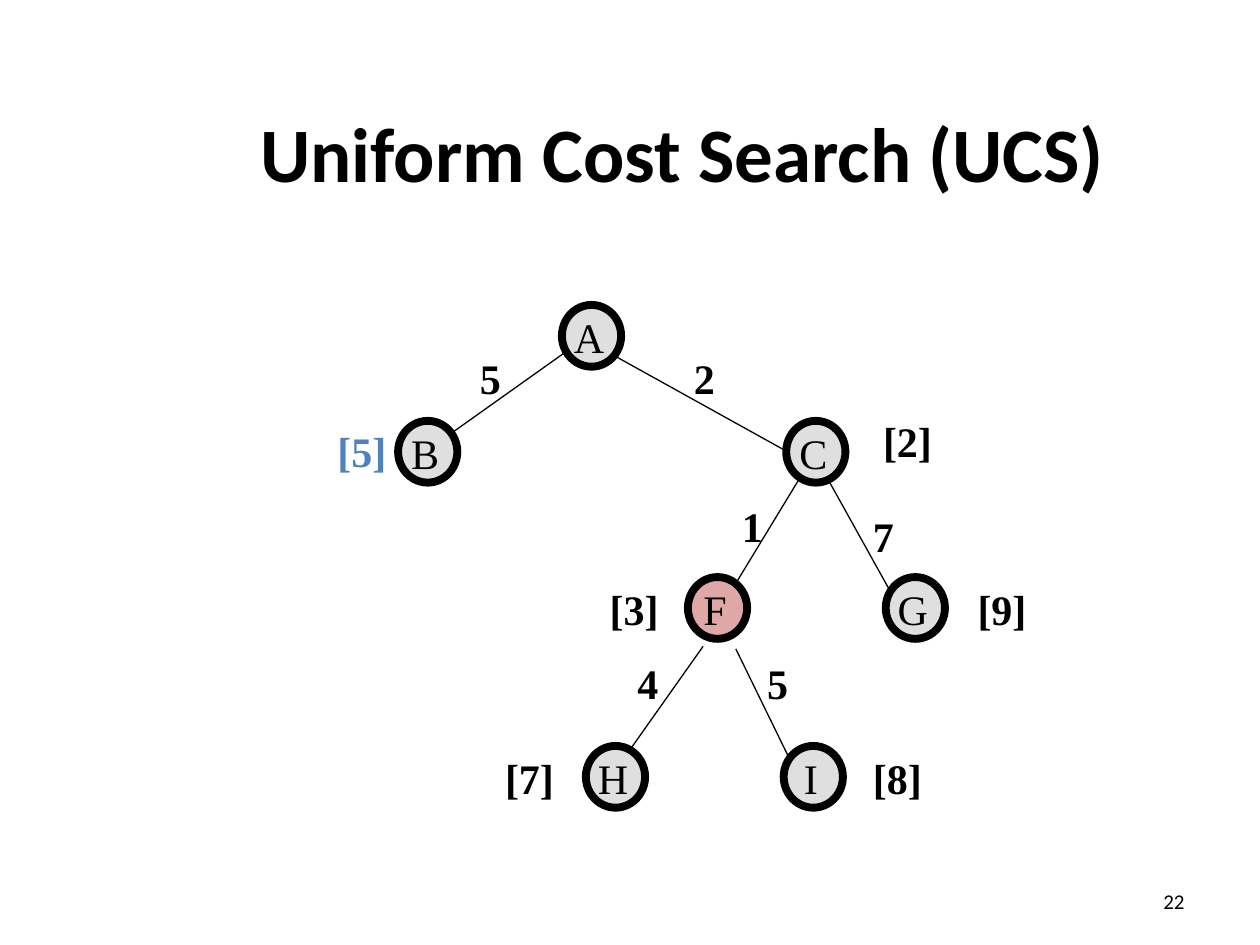
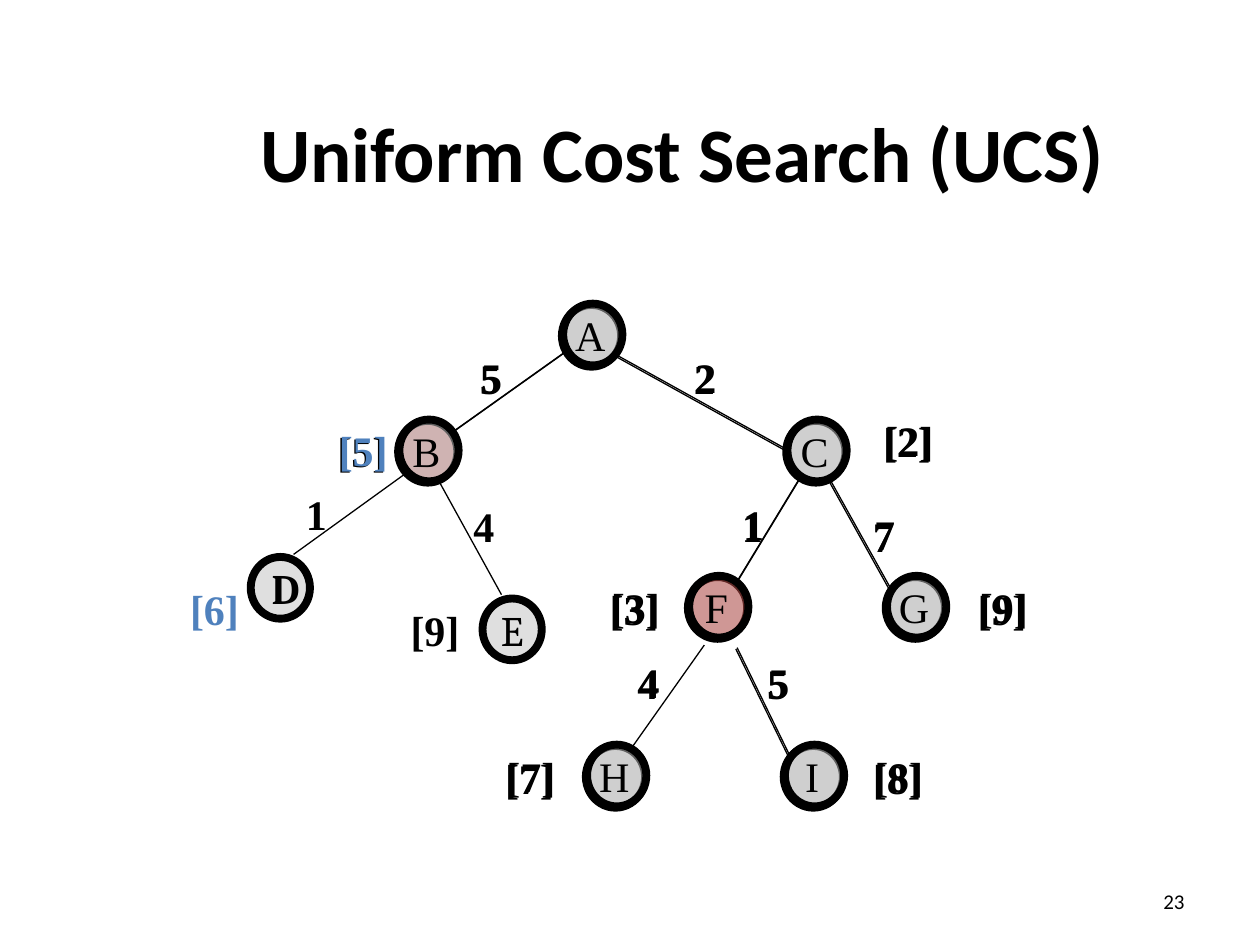
from dataclasses import dataclass

from lxml import etree
from pptx import Presentation
from pptx.dml.color import RGBColor
from pptx.enum.shapes import MSO_CONNECTOR, MSO_SHAPE
from pptx.enum.text import MSO_ANCHOR, MSO_AUTO_SIZE, PP_ALIGN
from pptx.oxml.ns import qn
from pptx.util import Inches, Pt

STRAIGHT = MSO_CONNECTOR.STRAIGHT
OVAL = MSO_SHAPE.OVAL
MIDDLE = MSO_ANCHOR.MIDDLE
GROW = MSO_AUTO_SIZE.SHAPE_TO_FIT_TEXT
LEFT, CENTER, RIGHT = PP_ALIGN.LEFT, PP_ALIGN.CENTER, PP_ALIGN.RIGHT


@dataclass(frozen=True)
class Theme:
    ink: str = "000000"
    node: str = "C0C0C0"
    current: str = "C0504D"
    frontier: str = "4F81BD"
    title_font: str = "Calibri"
    tree_font: str = "Times New Roman"
    new_node_font: str = "Cambria"
    title_size: int = 44
    tree_size: int = 24
    number_size: int = 12
    ring: float = 4.5
    edge: float = 0.75
    opacity: int = 50


THEME = Theme()

TITLE = "Uniform Cost Search (UCS)"
TITLE_BOX = (1.17, 0.58, 8.5, 1.25)
NUMBER_BOX = (7.17, 6.95, 2.33, 0.4)
NODE_SIZE = (0.47, 0.49)
NAME_SIZE = (0.45, 0.5)
COST_SIZE = (0.37, 0.5)
TOTAL_SIZE = (0.59, 0.5)

NODES = {
    "A": (4.46, 2.42), "B": (3.16, 3.34), "C": (6.24, 3.34), "G": (7.03, 4.58),
    "F": (5.46, 4.58), "I": (6.22, 5.92), "H": (4.65, 5.92),
}
EDGES = {
    "AB": ((4.48, 2.8), (3.58, 3.44)),
    "CF": ((6.35, 3.79), (5.84, 4.63)),
    "CG": ((6.58, 3.82), (7.07, 4.7)),
    "AC": ((4.87, 2.82), (6.24, 3.58)),
    "FH": ((5.58, 5.13), (5, 5.95)),
    "FI": ((5.84, 5.15), (6.26, 6.01)),
}
STEP_COSTS = [
    ("2", 5.41, 2.75), ("5", 3.71, 2.75), ("1", 5.79, 3.92),
    ("7", 6.83, 4), ("4", 4.96, 5.17), ("5", 5.99, 5.17),
]
PATH_COSTS = [
    ("[5]", 2.58, 3.33), ("[2]", 6.91, 3.25), ("[9]", 7.66, 4.58),
    ("[3]", 4.74, 4.58), ("[7]", 3.91, 5.92), ("[8]", 6.83, 5.92),
]

B_EDGES = [((3.23, 3.75), (2.33, 4.4)), ((3.49, 3.83), (3.98, 4.72))]
B_CHILDREN = [("D", 1.99, 4.42, True, LEFT), ("E", 3.83, 4.75, False, CENTER)]
B_STEP_COSTS = [("1", 2.33, 3.83), ("4", 3.66, 3.92)]
B_PATH_COSTS = [("[9]", 3.16, 4.75), ("[6]", 1.41, 4.58)]


def format_text(frame, text, size, font, bold=False, align=LEFT, color=THEME.ink):
    frame.text = text
    paragraph = frame.paragraphs[0]
    paragraph.alignment = align
    run_font = paragraph.runs[0].font
    run_font.size, run_font.name, run_font.bold = Pt(size), font, bold
    run_font.color.rgb = RGBColor.from_string(color)


def add_label(slide, text, left, top, size, **style):
    label = slide.shapes.add_textbox(*map(Inches, (left, top, *size)))
    frame = label.text_frame
    frame.word_wrap = False
    frame.auto_size = GROW
    format_text(frame, text, THEME.tree_size, THEME.tree_font, **style)


def add_node(slide, left, top, color=THEME.node):
    node = slide.shapes.add_shape(OVAL, *map(Inches, (left, top, *NODE_SIZE)))
    node.shadow.inherit = False
    node.fill.solid()
    node.fill.fore_color.rgb = RGBColor.from_string(color)
    tint = node.fill._xPr.find(".//" + qn("a:srgbClr"))
    etree.SubElement(tint, qn("a:alpha"), val=str(THEME.opacity * 1000))
    node.line.color.rgb = RGBColor.from_string(THEME.ink)
    node.line.width = Pt(THEME.ring)
    return node


def add_edge(slide, start, end):
    edge = slide.shapes.add_connector(STRAIGHT, *map(Inches, (*start, *end)))
    edge.line.color.rgb = RGBColor.from_string(THEME.ink)
    edge.line.width = Pt(THEME.edge)
    etree.SubElement(edge._element.spPr, qn("a:effectLst"))


def add_costs(slide, step_costs, path_costs, frontier, dx=0, dy=0):
    for cost, x, y in step_costs:
        add_label(slide, cost, x + dx, y + dy, COST_SIZE, bold=True)
    for total, x, y in path_costs:
        color = THEME.frontier if total == frontier else THEME.ink
        add_label(slide, total, x + dx, y + dy, TOTAL_SIZE, bold=True, color=color)


def add_tree(slide, current, frontier=None, named=True, hidden_edges=(), dx=0, dy=0):
    for name, (x, y) in NODES.items():
        left, top = x + dx, y + dy
        add_node(slide, left, top, THEME.current if name == current else THEME.node)
        if named:
            add_label(slide, name, left - 0.01, top, NAME_SIZE, align=CENTER)
    for edge, ends in EDGES.items():
        if edge not in hidden_edges:
            add_edge(slide, *[(x + dx, y + dy) for x, y in ends])
    add_costs(slide, STEP_COSTS, PATH_COSTS, frontier, dx, dy)


def add_b_expansion(slide):
    for ends in B_EDGES:
        add_edge(slide, *ends)
    for name, left, top, bold, align in B_CHILDREN:
        frame = add_node(slide, left, top).text_frame
        frame.word_wrap = False
        frame.vertical_anchor = MIDDLE
        format_text(frame, name, THEME.tree_size, THEME.new_node_font, bold, align)
    add_costs(slide, B_STEP_COSTS, B_PATH_COSTS, "[6]")


def add_search_slide(prs, number):
    slide = prs.slides.add_slide(prs.slide_layouts[5])
    title = slide.shapes.title
    title.left, title.top, title.width, title.height = map(Inches, TITLE_BOX)
    title.text_frame.vertical_anchor = MIDDLE
    format_text(title.text_frame, TITLE, THEME.title_size, THEME.title_font, True, CENTER)
    page = slide.shapes.add_textbox(*map(Inches, NUMBER_BOX)).text_frame
    page.word_wrap = True
    page.vertical_anchor = MIDDLE
    format_text(page, str(number), THEME.number_size, THEME.title_font, align=RIGHT)
    return slide


def main():
    prs = Presentation()
    prs.slide_width, prs.slide_height = Inches(10), Inches(7.5)

    add_tree(add_search_slide(prs, 22), current="F", frontier="[5]")

    expanded = add_search_slide(prs, 23)
    add_tree(expanded, current="B", named=False, hidden_edges=("FH",))
    add_b_expansion(expanded)
    add_tree(expanded, current="F", frontier="[5]", dx=0.01, dy=-0.01)

    prs.save("out.pptx")


if __name__ == "__main__":
    main()
